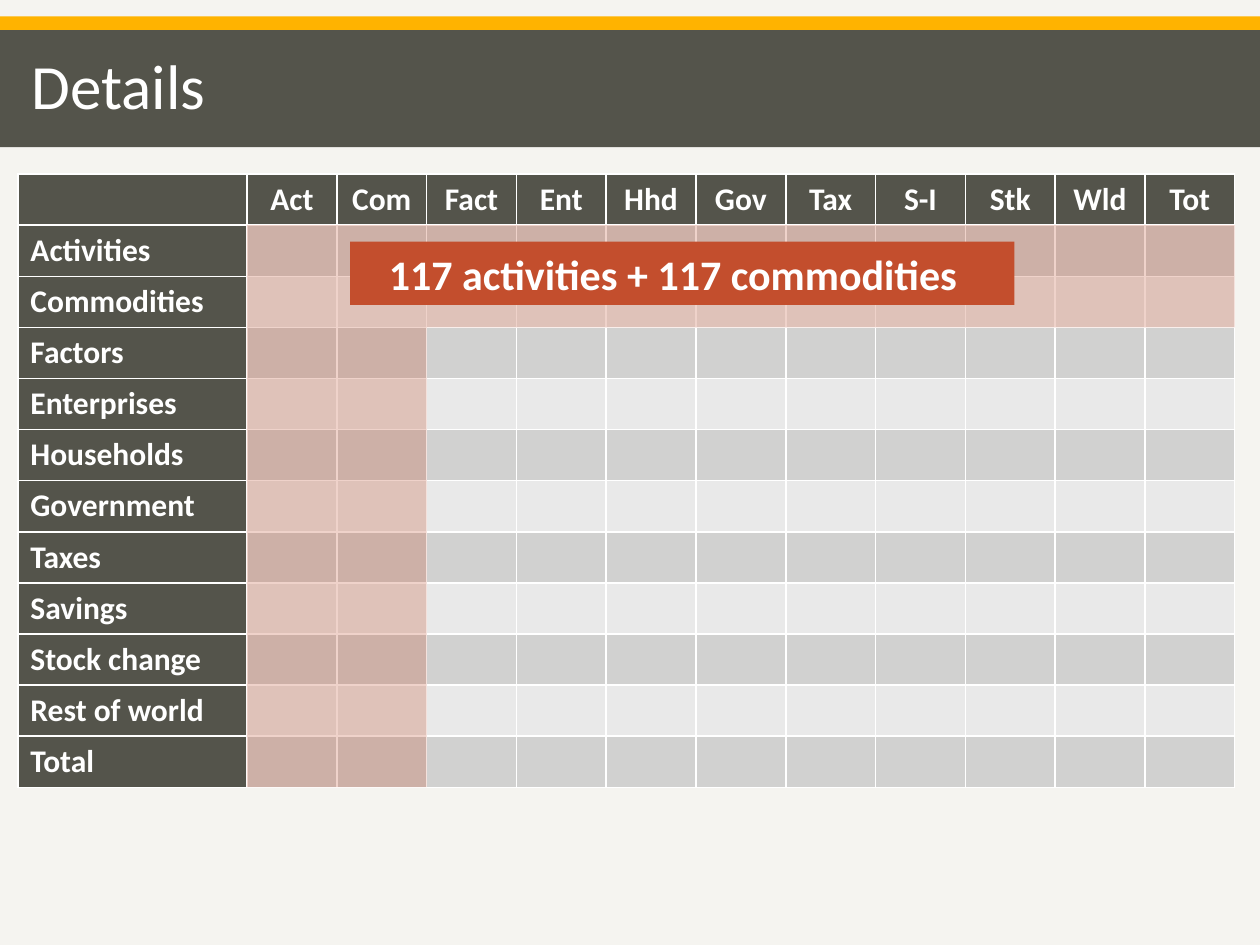
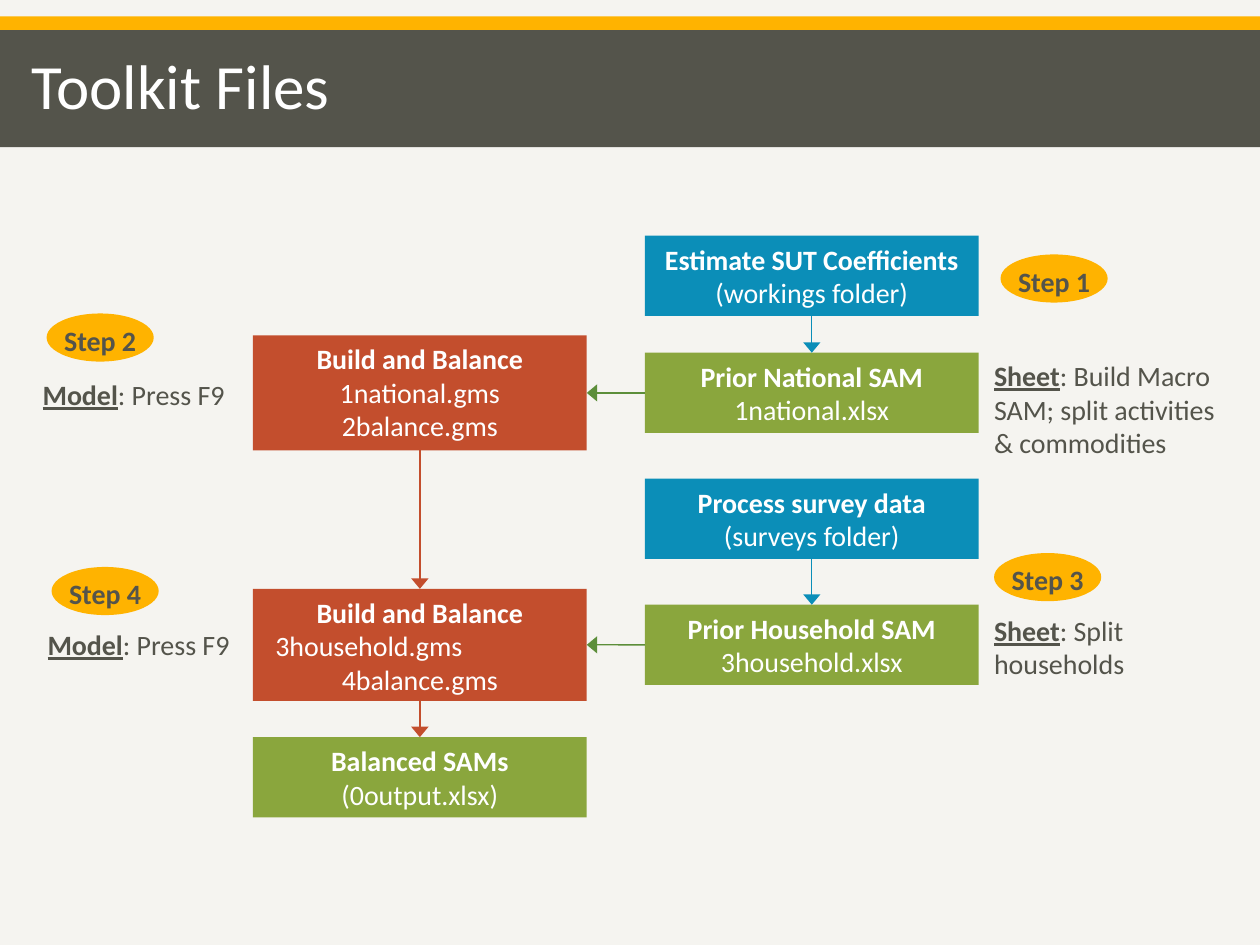
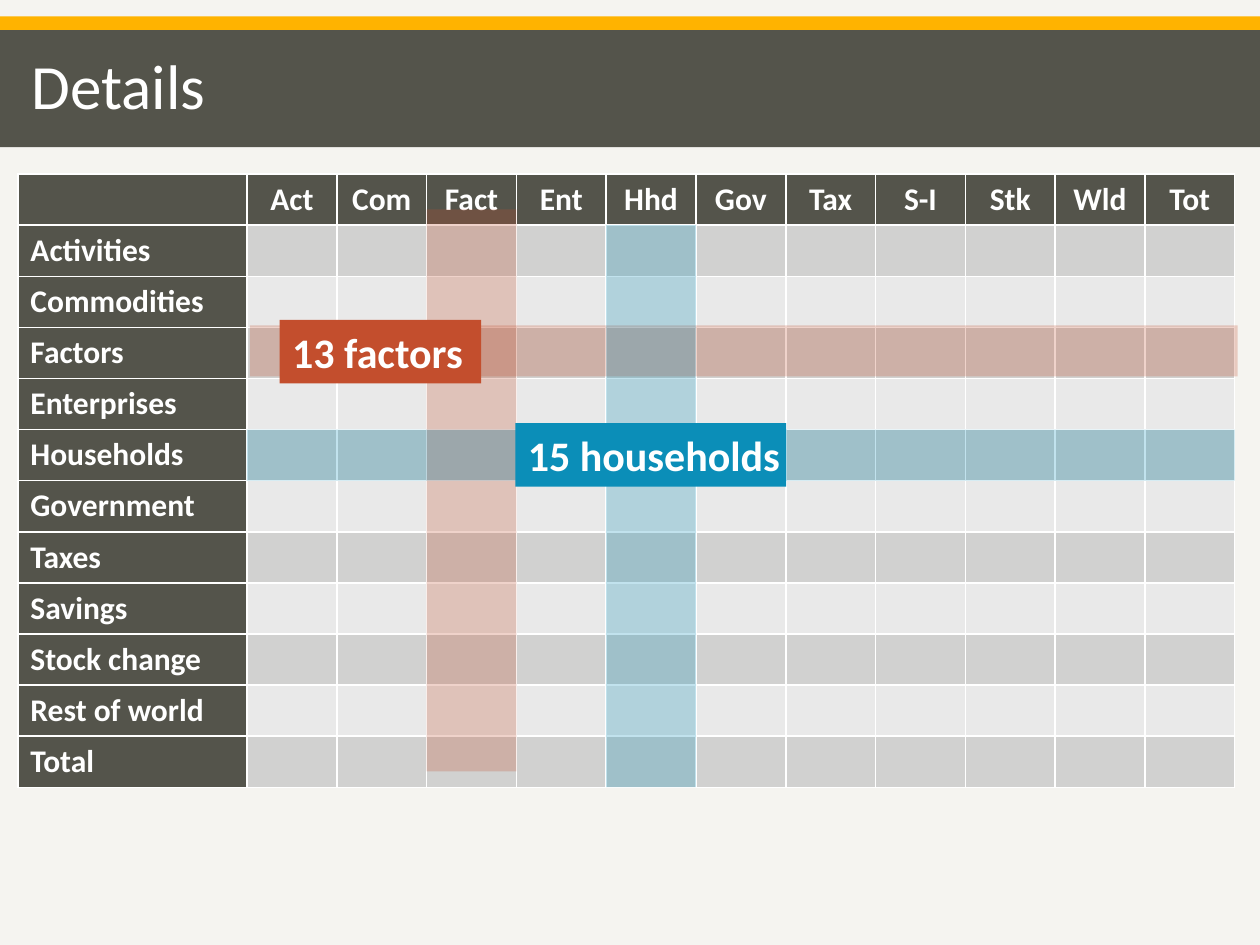
from dataclasses import dataclass

import pptx
import pptx.dml.color
import pptx.enum.dml
import pptx.enum.shapes
import pptx.enum.text
import pptx.oxml
import pptx.oxml.ns
import pptx.util
from lxml import etree

Cm = pptx.util.Cm
Pt = pptx.util.Pt
SHAPE = pptx.enum.shapes.MSO_SHAPE
ALIGN = pptx.enum.text.PP_ALIGN
ANCHOR = pptx.enum.text.MSO_ANCHOR
qn = pptx.oxml.ns.qn


@dataclass(frozen=True)
class Theme:
    font: str = "Calibri"
    paper: str = "F5F4F0"
    amber: str = "FFB300"
    slate: str = "54544B"
    white: str = "FFFFFF"
    rust: str = "C34E2D"
    blue: str = "0B8EB8"
    green: str = "8AA63D"
    dark_green: str = "5C8E3A"
    row_dark: str = "D1D1D0"
    row_light: str = "E9E9E9"
    title_size: int = 36
    callout_size: int = 24
    table_size: int = 18
    flow_size: int = 16


THEME = Theme()
SLIDE_WIDTH, SLIDE_HEIGHT = 25.4, 19.05
BAND_TOP, BAND_HEIGHT = 0.61, 2.36

ACCOUNTS = [
    ("Activities", "Act"), ("Commodities", "Com"), ("Factors", "Fact"),
    ("Enterprises", "Ent"), ("Households", "Hhd"), ("Government", "Gov"),
    ("Taxes", "Tax"), ("Savings", "S-I"), ("Stock change", "Stk"),
    ("Rest of world", "Wld"), ("Total", "Tot"),
]
MATRIX_LEFT, MATRIX_TOP = 0.36, 3.51
NAME_WIDTH, COLUMN_WIDTH, ROW_HEIGHT = 4.62, 1.81, 1.03

FLOW_WIDTH, FLOW_HEIGHT = 6.73, 1.62
BUILD_LEFT, SOURCE_LEFT = 5.1, 13.0


def rgb(color):
    return pptx.dml.color.RGBColor.from_string(color)


def style(run, size, color, bold=False, underline=False):
    run.font.name = THEME.font
    run.font.size = Pt(size)
    run.font.color.rgb = rgb(color)
    run.font.bold = bold
    run.font.underline = underline


def set_insets(frame, left=0.25, top=0.13, right=0.25, bottom=0.13):
    frame.margin_left, frame.margin_top = Cm(left), Cm(top)
    frame.margin_right, frame.margin_bottom = Cm(right), Cm(bottom)


def add_block(slide, left, top, width, height, color, outline=SHAPE.RECTANGLE):
    block = slide.shapes.add_shape(outline, Cm(left), Cm(top), Cm(width), Cm(height))
    block.shadow.inherit = False
    block.fill.solid()
    block.fill.fore_color.rgb = rgb(color)
    block.line.fill.background()
    return block


def add_bands(slide):
    bands = [
        add_block(slide, 0, 0.33, SLIDE_WIDTH, 0.28, THEME.amber),
        add_block(slide, 0, BAND_TOP, SLIDE_WIDTH, BAND_HEIGHT, THEME.slate),
    ]
    for position, band in enumerate(bands, start=2):
        slide.slide_layout.shapes.element.insert(position, band.element)


def add_titled_slide(deck, heading):
    slide = deck.slides.add_slide(deck.slide_layouts[5])
    title = slide.shapes.title
    title.left, title.top = Cm(0.38), Cm(BAND_TOP)
    title.width, title.height = Cm(22.43), Cm(BAND_HEIGHT)
    frame = title.text_frame
    frame.text = heading
    frame.auto_size = pptx.enum.text.MSO_AUTO_SIZE.NONE
    frame.vertical_anchor = ANCHOR.MIDDLE
    paragraph = frame.paragraphs[0]
    paragraph.alignment = ALIGN.LEFT
    paragraph.line_spacing = 0.9
    style(paragraph.runs[0], THEME.title_size, THEME.white)
    return slide


def add_cell_borders(cell):
    properties = cell._tc.get_or_add_tcPr()
    for side in ("lnL", "lnR", "lnT", "lnB"):
        border = etree.SubElement(properties, qn(f"a:{side}"), w=str(Pt(1)))
        fill = etree.SubElement(border, qn("a:solidFill"))
        etree.SubElement(fill, qn("a:srgbClr"), val=THEME.white)


def fill_cell(cell, color, label="", alignment=ALIGN.LEFT):
    add_cell_borders(cell)
    cell.fill.solid()
    cell.fill.fore_color.rgb = rgb(color)
    if label:
        cell.text_frame.text = label
        paragraph = cell.text_frame.paragraphs[0]
        paragraph.alignment = alignment
        style(paragraph.runs[0], THEME.table_size, THEME.white, bold=True)


def add_matrix(slide):
    count = len(ACCOUNTS) + 1
    matrix = slide.shapes.add_table(
        count, count, Cm(MATRIX_LEFT), Cm(MATRIX_TOP),
        Cm(NAME_WIDTH + COLUMN_WIDTH * len(ACCOUNTS)), Cm(ROW_HEIGHT * count),
    ).table
    for column in matrix.columns:
        column.width = Cm(COLUMN_WIDTH)
    matrix.columns[0].width = Cm(NAME_WIDTH)
    for row in matrix.rows:
        row.height = Cm(ROW_HEIGHT)
    fill_cell(matrix.cell(0, 0), THEME.slate)
    for index, (name, code) in enumerate(ACCOUNTS, start=1):
        fill_cell(matrix.cell(0, index), THEME.slate, code, ALIGN.CENTER)
        fill_cell(matrix.cell(index, 0), THEME.slate, name)
        shade = THEME.row_dark if index % 2 else THEME.row_light
        for column in range(1, count):
            fill_cell(matrix.cell(index, column), shade)


def add_highlight(slide, color, column, row, columns, rows, shift_x=0, shift_y=0):
    highlight = add_block(
        slide,
        MATRIX_LEFT + NAME_WIDTH + column * COLUMN_WIDTH + shift_x,
        MATRIX_TOP + (row + 1) * ROW_HEIGHT + shift_y,
        columns * COLUMN_WIDTH, rows * ROW_HEIGHT, color,
    )
    tint = highlight.element.spPr.find(f".//{qn('a:srgbClr')}")
    etree.SubElement(tint, qn("a:alpha"), val="25000")


def add_callout(slide, left, top, width, color, message, inset=0.25):
    frame = add_block(slide, left, top, width, 1.28, color).text_frame
    frame.text = message
    frame.word_wrap = True
    frame.vertical_anchor = ANCHOR.MIDDLE
    set_insets(frame, left=inset, right=0)
    frame.paragraphs[0].alignment = ALIGN.LEFT
    style(frame.paragraphs[0].runs[0], THEME.callout_size, THEME.white, bold=True)


def add_flow_box(slide, left, top, color, heading, *files, height=FLOW_HEIGHT):
    box = add_block(slide, left, top, FLOW_WIDTH, height, color)
    frame = box.text_frame
    frame.text = "\n".join((heading, *files))
    frame.word_wrap = True
    frame.vertical_anchor = ANCHOR.TOP
    set_insets(frame)
    for index, paragraph in enumerate(frame.paragraphs):
        paragraph.alignment = ALIGN.CENTER
        style(paragraph.runs[0], THEME.flow_size, THEME.white, bold=index == 0)
    return box


def add_arrow(slide, source, source_side, target, target_side, color):
    arrow = slide.shapes.add_connector(
        pptx.enum.shapes.MSO_CONNECTOR.STRAIGHT, 0, 0, 0, 0)
    arrow.begin_connect(source, source_side)
    arrow.end_connect(target, target_side)
    arrow.line.color.rgb = rgb(color)
    arrow.line.width = Pt(0.75)
    etree.SubElement(arrow.line._get_or_add_ln(), qn("a:tailEnd"),
                     type="triangle", w="lg", len="med")
    etree.SubElement(arrow.element.spPr, qn("a:effectLst"))


def add_step(slide, left, top, number):
    frame = add_block(slide, left, top, 2.16, 0.97, THEME.amber, SHAPE.OVAL).text_frame
    frame.text = f"Step {number}"
    frame.word_wrap = False
    frame.vertical_anchor = ANCHOR.MIDDLE
    set_insets(frame, 0, 0.1, 0, 0)
    frame.paragraphs[0].alignment = ALIGN.CENTER
    style(frame.paragraphs[0].runs[0], THEME.flow_size, THEME.slate, bold=True)


def add_instruction(slide, left, top, width, height, tool, action):
    frame = slide.shapes.add_textbox(Cm(left), Cm(top), Cm(width), Cm(height)).text_frame
    frame.word_wrap = True
    paragraph = frame.paragraphs[0]
    for text, strong in ((tool, True), (f": {action}", False)):
        run = paragraph.add_run()
        run.text = text
        style(run, THEME.flow_size, THEME.slate, bold=strong, underline=strong)


def build_sector_details(deck):
    slide = add_titled_slide(deck, "Details")
    add_bands(slide)
    add_matrix(slide)
    add_highlight(slide, THEME.rust, 0, 0, 11, 2)
    add_highlight(slide, THEME.rust, 0, 2, 2, 9)
    add_callout(slide, 7.06, 4.87, 13.39, THEME.rust,
                "117 activities + 117 commodities", inset=0.78)


def build_toolkit_files(deck):
    slide = add_titled_slide(deck, "Toolkit Files")

    coefficients = add_flow_box(slide, SOURCE_LEFT, 4.75, THEME.blue,
                                "Estimate SUT Coefficients", "(workings folder)")
    prior_national = add_flow_box(slide, SOURCE_LEFT, 7.11, THEME.green,
                                  "Prior National SAM", "1national.xlsx")
    surveys = add_flow_box(slide, SOURCE_LEFT, 9.65, THEME.blue,
                           "Process survey data", "(surveys folder)")
    prior_household = add_flow_box(slide, SOURCE_LEFT, 12.19, THEME.green,
                                   "Prior Household SAM", "3household.xlsx")
    build_national = add_flow_box(slide, BUILD_LEFT, 6.76, THEME.rust, "Build and Balance",
                                  "1national.gms", "2balance.gms", height=2.32)
    build_household = add_flow_box(slide, BUILD_LEFT, 11.87, THEME.rust, "Build and Balance",
                                   "3household.gms", "4balance.gms", height=2.26)
    balanced = add_flow_box(slide, BUILD_LEFT, 14.86, THEME.green,
                            "Balanced SAMs", "(0output.xlsx)")

    household_file = build_household.text_frame.paragraphs[1]
    household_file.alignment = ALIGN.LEFT
    household_file._p.get_or_add_pPr().set("marL", str(Cm(0.2)))

    for source, target, color in (
        (coefficients, prior_national, THEME.blue),
        (surveys, prior_household, THEME.blue),
        (build_national, build_household, THEME.rust),
        (build_household, balanced, THEME.rust),
    ):
        add_arrow(slide, source, 2, target, 0, color)
    for source, target in ((prior_national, build_national),
                           (prior_household, build_household)):
        add_arrow(slide, source, 1, target, 3, THEME.dark_green)

    steps = ((20.17, 5.13), (0.94, 6.32), (20.04, 11.15), (1.04, 11.43))
    for number, (left, top) in enumerate(steps, start=1):
        add_step(slide, left, top, number)

    add_instruction(slide, 19.79, 7.11, 5.0, 1.55, "Sheet",
                    "Build Macro SAM; split activities & commodities")
    add_instruction(slide, 0.61, 7.49, 4.4, 0.94, "Model", "Press F9")
    add_instruction(slide, 19.79, 12.24, 4.45, 1.55, "Sheet", "Split households")
    add_instruction(slide, 0.71, 12.52, 4.3, 0.94, "Model", "Press F9")


def build_factor_details(deck):
    slide = add_titled_slide(deck, "Details")
    add_matrix(slide)
    add_highlight(slide, THEME.rust, 0, 2, 11, 1, shift_x=0.06, shift_y=-0.04)
    add_highlight(slide, THEME.rust, 2, 0, 1, 11, shift_y=-0.32)
    add_callout(slide, 5.64, 6.45, 4.06, THEME.rust, "13 factors")
    add_highlight(slide, THEME.blue, 5, 4, 6, 1)
    add_highlight(slide, THEME.blue, 4, 0, 1, 11)
    add_highlight(slide, THEME.blue, 0, 4, 3.4, 1)
    add_callout(slide, 10.39, 8.53, 5.46, THEME.blue, "15 households")


def main():
    deck = pptx.Presentation()
    deck.slide_width, deck.slide_height = Cm(SLIDE_WIDTH), Cm(SLIDE_HEIGHT)
    backdrop = deck.slide_master.background.fill
    backdrop.solid()
    backdrop.fore_color.rgb = rgb(THEME.paper)
    build_sector_details(deck)
    build_toolkit_files(deck)
    build_factor_details(deck)
    deck.save("out.pptx")


if __name__ == "__main__":
    main()
